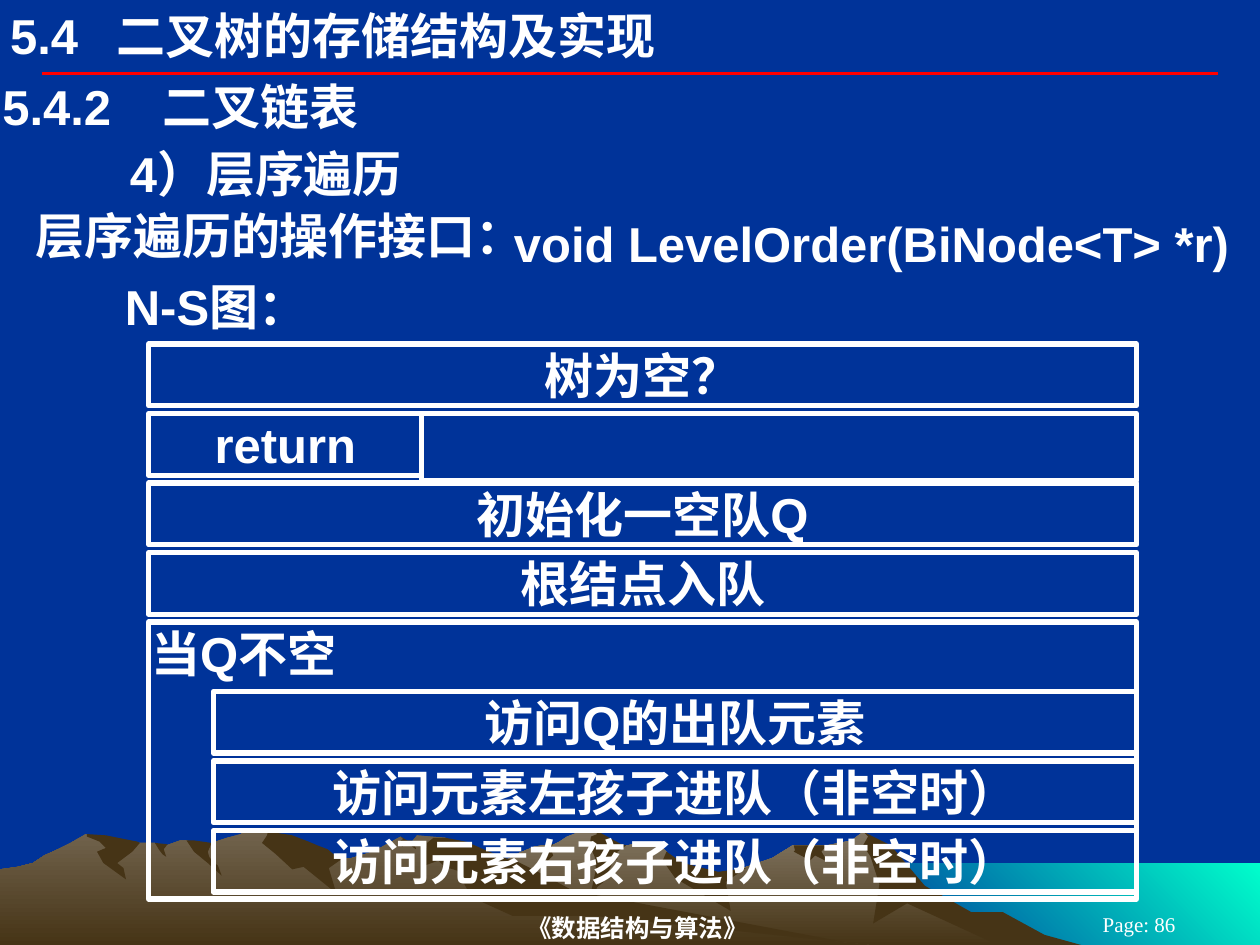
from lxml import etree
from pptx import Presentation, util as u
from pptx.dml.color import RGBColor
from pptx.enum import shapes, text
from pptx.oxml.ns import qn

NAVY = RGBColor(0x00, 0x33, 0x99)
WHITE = RGBColor(0xFF, 0xFF, 0xFF)
RED = RGBColor(0xFF, 0x00, 0x00)
AQUA = RGBColor(0x00, 0xFF, 0xCC)
STONE = RGBColor(0x83, 0x77, 0x63)
EARTH = RGBColor(0x72, 0x64, 0x4E)
BROWN = RGBColor(0x46, 0x34, 0x16)

# Landscape outlines, in hundredths of an inch
UNIT = u.Pt(0.72)
SEA = [(1000, 750), (683, 750), (683, 685), (1000, 685)]
FAR_RANGE = [
    (802, 740), (778, 727), (764, 723), (723, 698), (702, 671), (685, 660), (676, 667),
    (656, 671), (629, 671), (613, 681), (566, 697), (536, 690), (529, 676), (526, 673),
    (509, 669), (497, 671), (486, 673), (474, 661), (471, 658), (465, 658), (450, 664),
    (444, 668), (438, 671), (430, 671), (424, 672), (412, 677), (405, 681), (394, 685),
    (355, 698), (327, 709), (277, 739), (258, 750), (821, 750)]
NEAR_RANGE = [
    (690, 750), (667, 748), (432, 712), (354, 665), (331, 663), (327, 668), (323, 668),
    (318, 664), (296, 676), (279, 681), (271, 682), (260, 676), (236, 681), (223, 663),
    (219, 660), (212, 658), (196, 658), (191, 662), (180, 665), (168, 669), (160, 671),
    (148, 667), (143, 667), (132, 671), (128, 671), (123, 669), (111, 669), (94, 671),
    (68, 662), (56, 669), (46, 674), (35, 679), (26, 685), (14, 688), (0, 690), (0, 750)]
FAR_SHADOWS = [
    [(796, 724), (771, 724), (734, 703), (707, 671), (685, 660), (689, 664), (685, 671),
     (691, 680), (698, 702), (693, 733), (720, 717), (792, 750), (858, 750), (829, 742)],
    [(471, 658), (474, 662), (469, 664), (468, 671), (472, 680), (473, 690), (465, 727),
     (474, 704), (479, 700), (487, 683), (490, 682), (490, 676), (497, 671), (493, 670)],
    [(529, 676), (526, 683), (536, 697), (580, 723), (576, 700), (592, 689), (570, 692),
     (542, 685)],
    [(650, 671), (630, 671), (631, 675), (630, 676), (643, 683), (647, 679), (657, 684),
     (652, 676), (656, 671)],
    [(433, 677), (432, 673), (434, 671), (439, 670), (437, 673), (439, 679), (434, 684)],
]
NEAR_SHADOWS = [
    [(212, 663), (208, 669), (219, 678), (232, 690), (241, 688), (267, 709), (261, 689),
     (271, 682), (266, 679), (260, 674), (252, 671), (245, 668), (232, 663), (226, 662),
     (219, 661), (213, 659)],
    [(370, 668), (354, 665), (344, 665), (339, 669), (337, 687), (348, 683), (353, 688),
     (363, 691), (374, 712), (407, 727), (472, 727), (690, 750), (683, 750), (455, 707),
     (427, 692), (411, 684), (401, 681), (386, 675)],
    [(318, 667), (320, 666), (318, 664), (323, 667), (327, 667), (330, 673), (330, 674),
     (326, 671), (322, 669), (321, 671), (319, 672)],
    [(154, 667), (161, 668), (168, 669), (165, 676), (166, 680), (169, 684), (173, 687),
     (176, 695), (165, 685), (154, 676), (148, 667)],
    [(133, 670), (130, 674), (132, 680), (129, 678), (126, 674), (123, 669)],
    [(109, 668), (111, 669), (105, 676), (93, 685), (98, 689), (100, 698), (82, 685),
     (77, 676), (84, 673), (79, 668), (69, 664), (69, 662), (84, 663), (94, 665)],
]
LANDSCAPE = ([(SEA, (AQUA, NAVY), 225), (FAR_RANGE, (STONE, BROWN), 270)]
             + [(outline, BROWN, None) for outline in FAR_SHADOWS]
             + [(NEAR_RANGE, (EARTH, BROWN), 270)]
             + [(outline, BROWN, None) for outline in NEAR_SHADOWS])

# text, left, top, width, left margin, tab stop
HEADINGS = [
    ("5.4\t二叉树的存储结构及实现", 5.8, 2.2, 468, 0, 61),
    ("5.4.2\t二叉链表", 0, 43.2, 720, 1.4, 91.7),
    ("4）层序遍历", 2.9, 81.4, 717, 71.4, None),
    ("层序遍历的操作接口：", 0, 116.6, 717, 20.2, None),
    ("void LevelOrder(BiNode<T> *r)", 292.3, 121, 427.7, 1.4, None),
    ("N-S图：", 0, 157, 717, 71.4, None),
]

# Nassi-Shneiderman chart: text, row, left, height
CHART_TOP, CHART_LEFT, CHART_RIGHT, ROW_PITCH, ROW_HEIGHT = 196.6, 85, 649.4, 39.7, 35.3
BRANCH, LOOP_LEFT = 241, 121.9
CHART_BOXES = [
    ("树为空？", 0, CHART_LEFT, CHART_RIGHT, ROW_HEIGHT),
    ("return", 1, CHART_LEFT, BRANCH, ROW_HEIGHT),
    ("初始化一空队Q", 2, CHART_LEFT, CHART_RIGHT, ROW_HEIGHT),
    ("", 1, BRANCH, CHART_RIGHT, 38.2),
    ("根结点入队", 3, CHART_LEFT, CHART_RIGHT, ROW_HEIGHT),
    ("当Q不空", 4, CHART_LEFT, CHART_RIGHT, 158.4),
    ("访问Q的出队元素", 5, LOOP_LEFT, CHART_RIGHT, ROW_HEIGHT),
    ("访问元素左孩子进队（非空时）", 6, LOOP_LEFT, CHART_RIGHT, ROW_HEIGHT),
    ("访问元素右孩子进队（非空时）", 7, LOOP_LEFT, CHART_RIGHT, ROW_HEIGHT),
]
LOOP_ROW = 4

# text, left, top, width, height, size, bold
FOOTERS = [
    ("《数据结构与算法》", 146.3, 519.8, 436.3, 20.2, 14, True),
    ("Page: 86", 594, 522, 113.8, 12.2, 12, False),
]


def add_land(slide, outline, colour, angle):
    builder = slide.shapes.build_freeform(*outline[0], scale=UNIT)
    builder.add_line_segments(outline[1:], close=True)
    shape = builder.convert_to_shape()
    shape.shadow.inherit = False
    shape.line.fill.background()
    if angle is None:
        shape.fill.solid()
        shape.fill.fore_color.rgb = colour
    else:
        shape.fill.gradient()
        shape.fill.gradient_angle = angle
        for stop, stop_colour in zip(shape.fill.gradient_stops, colour):
            stop.color.rgb = stop_colour


def write(shape, words, align=text.PP_ALIGN.LEFT, anchor=text.MSO_ANCHOR.TOP,
          margin=1.4, tab=None, size=28, font="Arial", bold=True):
    frame = shape.text_frame
    frame.word_wrap = True
    frame.vertical_anchor = anchor
    frame.margin_left = u.Pt(margin)
    frame.margin_right = u.Pt(1.4)
    frame.margin_top = frame.margin_bottom = u.Pt(0.7)
    frame.text = words
    paragraph = frame.paragraphs[0]
    paragraph.alignment = align
    if tab:
        tabs = etree.SubElement(paragraph._p.get_or_add_pPr(), qn("a:tabLst"))
        etree.SubElement(tabs, qn("a:tab"), pos=str(u.Pt(tab)), algn="l")
    for run in paragraph.runs:
        run.font.size = u.Pt(size)
        run.font.name = font
        run.font.bold = bold
        run.font.color.rgb = WHITE


def main():
    presentation = Presentation()
    presentation.slide_width, presentation.slide_height = u.Pt(720), u.Pt(540)
    slide = presentation.slides.add_slide(presentation.slide_layouts[6])
    slide.background.fill.solid()
    slide.background.fill.fore_color.rgb = NAVY

    for outline, colour, angle in LANDSCAPE:
        add_land(slide, outline, colour, angle)

    rule = slide.shapes.add_connector(
        shapes.MSO_CONNECTOR.STRAIGHT, u.Pt(24), u.Pt(42), u.Pt(696), u.Pt(42))
    rule.line.color.rgb = RED
    rule.line.width = u.Pt(2.25)
    etree.SubElement(rule._element.spPr, qn("a:effectLst"))

    for words, left, top, width, height, size, bold in FOOTERS:
        box = slide.shapes.add_textbox(u.Pt(left), u.Pt(top), u.Pt(width), u.Pt(height))
        write(box, words, text.PP_ALIGN.CENTER, text.MSO_ANCHOR.MIDDLE,
              size=size, font="Times New Roman", bold=bold)

    for words, left, top, width, margin, tab in HEADINGS:
        box = slide.shapes.add_textbox(u.Pt(left), u.Pt(top), u.Pt(width), u.Pt(ROW_HEIGHT))
        write(box, words, margin=margin, tab=tab)

    for words, row, left, right, height in CHART_BOXES:
        box = slide.shapes.add_shape(
            shapes.MSO_SHAPE.RECTANGLE, u.Pt(left), u.Pt(CHART_TOP + row * ROW_PITCH),
            u.Pt(right - left), u.Pt(height))
        box.shadow.inherit = False
        box.fill.background()
        box.line.color.rgb = WHITE
        box.line.width = u.Pt(3)
        if words:
            write(box, words,
                  text.PP_ALIGN.LEFT if row == LOOP_ROW else text.PP_ALIGN.CENTER)

    presentation.save("out.pptx")


if __name__ == "__main__":
    main()
